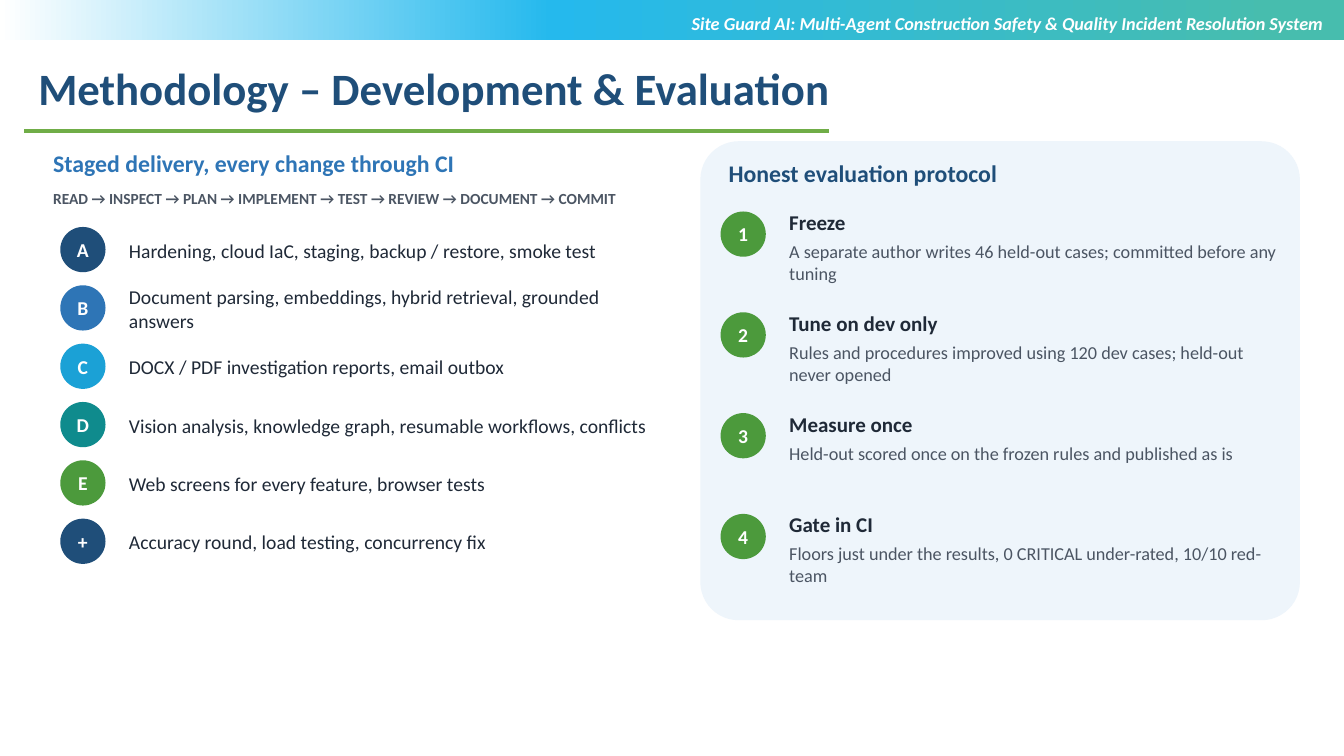
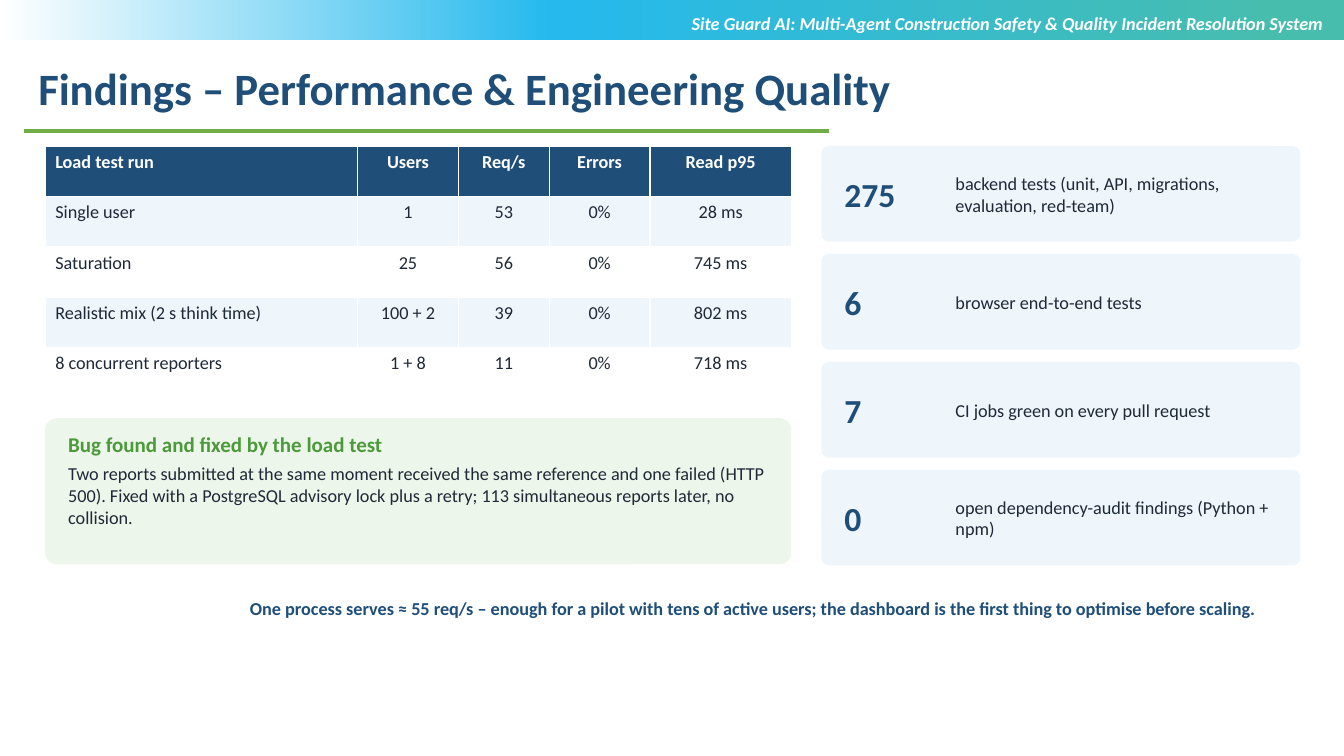
import copy
from dataclasses import dataclass

import pptx
import pptx.dml.color
import pptx.enum.shapes
import pptx.enum.text
import pptx.oxml
import pptx.oxml.ns
import pptx.presentation
import pptx.shapes.autoshape
import pptx.slide
import pptx.text.text
import pptx.util

Cm = pptx.util.Cm
RGBColor = pptx.dml.color.RGBColor
Align = pptx.enum.text.PP_ALIGN
Anchor = pptx.enum.text.MSO_ANCHOR
Geometry = pptx.enum.shapes.MSO_SHAPE

FONT = "Calibri"
NAVY = RGBColor(0x1F, 0x4E, 0x79)
BLUE = RGBColor(0x2E, 0x75, 0xB6)
SKY = RGBColor(0x1B, 0xA1, 0xD6)
TEAL = RGBColor(0x0F, 0x8B, 0x8D)
GREEN = RGBColor(0x4C, 0x9A, 0x3C)
RULE_GREEN = RGBColor(0x70, 0xAD, 0x47)
INK = RGBColor(0x1F, 0x29, 0x37)
GRAY = RGBColor(0x4B, 0x55, 0x63)
PALE_BLUE = RGBColor(0xEE, 0xF5, 0xFB)
PALE_GREEN = RGBColor(0xED, 0xF6, 0xEA)
WHITE = RGBColor(0xFF, 0xFF, 0xFF)
BAND_STOPS = (
    (0.05, RGBColor(0x47, 0xBD, 0xAE)),
    (0.59, RGBColor(0x25, 0xB9, 0xED)),
    (1.0, WHITE),
)

SLIDE_WIDTH = 33.87
INSET = 0.2
BADGE_SIZE = 1.14
CORNER = 0.08
PROJECT = "Site Guard AI: Multi-Agent Construction Safety & Quality Incident Resolution System"


@dataclass(frozen=True)
class Box:
    left: float
    top: float
    width: float
    height: float

    def lengths(self) -> tuple[Cm, Cm, Cm, Cm]:
        return Cm(self.left), Cm(self.top), Cm(self.width), Cm(self.height)


@dataclass(frozen=True)
class Line:
    text: str
    size: float
    color: RGBColor
    bold: bool = False
    italic: bool = False
    align: Align = Align.LEFT
    space_after: float = 4


@dataclass(frozen=True)
class Stage:
    letter: str
    color: RGBColor
    text: str


@dataclass(frozen=True)
class Step:
    name: str
    detail: str


@dataclass(frozen=True)
class Metric:
    value: str
    label: str


STAGES = (
    Stage("A", NAVY, "Hardening, cloud IaC, staging, backup / restore, smoke test"),
    Stage("B", BLUE, "Document parsing, embeddings, hybrid retrieval, grounded answers"),
    Stage("C", SKY, "DOCX / PDF investigation reports, email outbox"),
    Stage("D", TEAL, "Vision analysis, knowledge graph, resumable workflows, conflicts"),
    Stage("E", GREEN, "Web screens for every feature, browser tests"),
    Stage("+", NAVY, "Accuracy round, load testing, concurrency fix"),
)
STEPS = (
    Step("Freeze", "A separate author writes 46 held-out cases; committed before any tuning"),
    Step("Tune on dev only", "Rules and procedures improved using 120 dev cases; held-out never opened"),
    Step("Measure once", "Held-out scored once on the frozen rules and published as is"),
    Step("Gate in CI", "Floors just under the results, 0 CRITICAL under-rated, 10/10 red-team"),
)
METRICS = (
    Metric("275", "backend tests (unit, API, migrations, evaluation, red-team)"),
    Metric("6", "browser end-to-end tests"),
    Metric("7", "CI jobs green on every pull request"),
    Metric("0", "open dependency-audit findings (Python + npm)"),
)
LOAD_TEST = (
    ("Load test run", "Users", "Req/s", "Errors", "Read p95"),
    ("Single user", "1", "53", "0%", "28 ms"),
    ("Saturation", "25", "56", "0%", "745 ms"),
    ("Realistic mix (2 s think time)", "100 + 2", "39", "0%", "802 ms"),
    ("8 concurrent reporters", "1 + 8", "11", "0%", "718 ms"),
)
COLUMN_WIDTHS = (7.87, 2.54, 2.29, 2.54, 3.56)
ROW_HEIGHT = 1.27


def write(text_frame: pptx.text.text.TextFrame, *lines: Line) -> None:
    text_frame.text = "\n".join(line.text for line in lines)
    for paragraph, line in zip(text_frame.paragraphs, lines):
        paragraph.alignment = line.align
        paragraph.space_after = pptx.util.Pt(line.space_after)
        for run in paragraph.runs:
            run.font.name = FONT
            run.font.size = pptx.util.Pt(line.size)
            run.font.bold = line.bold
            run.font.italic = line.italic
            run.font.color.rgb = line.color


def set_insets(text_frame: pptx.text.text.TextFrame, inset: float) -> None:
    text_frame.margin_left = text_frame.margin_right = Cm(inset)
    text_frame.margin_top = text_frame.margin_bottom = Cm(inset)


def add_text(slide: pptx.slide.Slide, box: Box, *lines: Line,
             anchor: Anchor = Anchor.TOP) -> pptx.shapes.autoshape.Shape:
    shape = slide.shapes.add_textbox(*box.lengths())
    text_frame = shape.text_frame
    text_frame.word_wrap = True
    text_frame.vertical_anchor = anchor
    set_insets(text_frame, INSET)
    write(text_frame, *lines)
    return shape


def add_shape(slide: pptx.slide.Slide, geometry: Geometry, box: Box,
              color: RGBColor) -> pptx.shapes.autoshape.Shape:
    shape = slide.shapes.add_shape(geometry, *box.lengths())
    shape.shadow.inherit = False
    shape.fill.solid()
    shape.fill.fore_color.rgb = color
    shape.line.fill.background()
    return shape


def add_panel(slide: pptx.slide.Slide, box: Box, color: RGBColor) -> None:
    panel = add_shape(slide, Geometry.ROUNDED_RECTANGLE, box, color)
    panel.adjustments[0] = CORNER


def add_badge(slide: pptx.slide.Slide, left: float, top: float, label: str, color: RGBColor) -> None:
    badge = add_shape(slide, Geometry.OVAL, Box(left, top, BADGE_SIZE, BADGE_SIZE), color)
    badge.text_frame.vertical_anchor = Anchor.MIDDLE
    set_insets(badge.text_frame, 0)
    write(badge.text_frame, Line(label, 14, WHITE, bold=True, align=Align.CENTER))


def add_band(slide: pptx.slide.Slide) -> pptx.shapes.autoshape.Shape:
    band = add_shape(slide, Geometry.RECTANGLE, Box(0, 0, SLIDE_WIDTH, 1.02), WHITE)
    band.fill.gradient()
    band.fill.gradient_angle = 180
    stop_list = band.element.spPr.find(".//" + pptx.oxml.ns.qn("a:gsLst"))
    stop_list.append(copy.deepcopy(stop_list[-1]))
    for stop, (position, color) in zip(band.fill.gradient_stops, BAND_STOPS):
        stop.position = position
        stop.color.rgb = color
    return band


def furnish_layout(layout: pptx.slide.SlideLayout, slide: pptx.slide.Slide) -> None:
    for placeholder in list(layout.placeholders):
        if placeholder.placeholder_format.idx:
            layout.shapes.element.remove(placeholder.element)
        else:
            placeholder.left, placeholder.top, placeholder.width, placeholder.height = Box(
                0.71, 1.4, 29.51, 1.8).lengths()
            placeholder.text_frame.vertical_anchor = Anchor.TOP
            placeholder.text_frame.auto_size = pptx.enum.text.MSO_AUTO_SIZE.SHAPE_TO_FIT_TEXT

    rule = slide.shapes.add_connector(
        pptx.enum.shapes.MSO_CONNECTOR.STRAIGHT, Cm(0.61), Cm(3.3), Cm(20.9), Cm(3.3))
    rule.line.color.rgb = RULE_GREEN
    rule.line.width = pptx.util.Pt(2.25)
    rule.element.spPr.append(pptx.oxml.parse_xml(f"<a:effectLst {pptx.oxml.ns.nsdecls('a')}/>"))

    band = add_band(slide)
    header = add_text(slide, Box(11.05, 0.11, 22.48, 0.9),
                      Line(PROJECT, 13, WHITE, bold=True, italic=True, align=Align.RIGHT, space_after=0))
    for shape in (band, rule, header):
        layout.shapes.element.append(shape.element)


def add_title(slide: pptx.slide.Slide, text: str) -> None:
    write(slide.shapes.title.text_frame, Line(text, 32, NAVY, bold=True, space_after=0))


def build_methodology(slide: pptx.slide.Slide) -> None:
    add_title(slide, "Methodology – Development & Evaluation")
    add_text(slide, Box(1.14, 3.56, 15.75, 1.02),
             Line("Staged delivery, every change through CI", 17, BLUE, bold=True))
    add_text(slide, Box(1.14, 4.57, 15.75, 0.89),
             Line("READ → INSPECT → PLAN → IMPLEMENT → TEST → REVIEW → DOCUMENT → COMMIT",
                  11, GRAY, bold=True))
    for index, stage in enumerate(STAGES):
        top = 5.72 + 1.47 * index
        add_badge(slide, 1.52, top, stage.letter, stage.color)
        add_text(slide, Box(3.05, top - 0.05, 13.72, 1.27), Line(stage.text, 14, INK),
                 anchor=Anchor.MIDDLE)

    add_panel(slide, Box(17.65, 3.56, 15.11, 12.07), PALE_BLUE)
    add_text(slide, Box(18.16, 3.81, 14.22, 1.14),
             Line("Honest evaluation protocol", 17, NAVY, bold=True))
    for index, step in enumerate(STEPS):
        top = 5.08 + 2.54 * index
        add_badge(slide, 18.16, top + 0.25, str(index + 1), GREEN)
        add_text(slide, Box(19.69, top, 12.7, 2.41),
                 Line(step.name, 15, INK, bold=True), Line(step.detail, 13, GRAY))


def add_load_table(slide: pptx.slide.Slide) -> None:
    box = Box(1.14, 3.68, sum(COLUMN_WIDTHS), ROW_HEIGHT * len(LOAD_TEST))
    table = slide.shapes.add_table(len(LOAD_TEST), len(COLUMN_WIDTHS), *box.lengths()).table
    for column, width in zip(table.columns, COLUMN_WIDTHS):
        column.width = Cm(width)
    for row_index, values in enumerate(LOAD_TEST):
        is_header = row_index == 0
        row_color = NAVY if is_header else PALE_BLUE if row_index % 2 else WHITE
        for column_index, value in enumerate(values):
            cell = table.cell(row_index, column_index)
            cell.fill.solid()
            cell.fill.fore_color.rgb = row_color
            write(cell.text_frame,
                  Line(value, 13, WHITE if is_header else INK, bold=is_header,
                       align=Align.CENTER if column_index else Align.LEFT, space_after=0))


def build_findings(slide: pptx.slide.Slide) -> None:
    add_title(slide, "Findings – Performance & Engineering Quality")
    add_load_table(slide)
    add_panel(slide, Box(1.14, 10.54, 18.8, 3.68), PALE_GREEN)
    add_text(slide, Box(1.52, 10.67, 18.03, 3.56),
             Line("Bug found and fixed by the load test", 15, GREEN, bold=True),
             Line("Two reports submitted at the same moment received the same reference and one failed "
                  "(HTTP 500). Fixed with a PostgreSQL advisory lock plus a retry; 113 simultaneous "
                  "reports later, no collision.", 13, INK))
    for index, metric in enumerate(METRICS):
        top = 3.68 + 2.72 * index
        add_panel(slide, Box(20.7, top, 12.07, 2.41), PALE_BLUE)
        add_text(slide, Box(21.08, top, 2.79, 2.41), Line(metric.value, 24, NAVY, bold=True),
                 anchor=Anchor.MIDDLE)
        add_text(slide, Box(23.88, top, 8.76, 2.41), Line(metric.label, 13, INK),
                 anchor=Anchor.MIDDLE)
    add_text(slide, Box(6.1, 14.86, 26.67, 0.89),
             Line("One process serves ≈ 55 req/s – enough for a pilot with tens of active users; "
                  "the dashboard is the first thing to optimise before scaling.", 13, NAVY, bold=True))


def main() -> None:
    presentation = pptx.Presentation()
    presentation.slide_width = Cm(SLIDE_WIDTH)
    presentation.slide_height = Cm(19.05)
    layout = presentation.slide_layouts.get_by_name("Title Only")
    methodology = presentation.slides.add_slide(layout)
    furnish_layout(layout, methodology)
    build_methodology(methodology)
    build_findings(presentation.slides.add_slide(layout))
    presentation.save("out.pptx")


if __name__ == "__main__":
    main()
